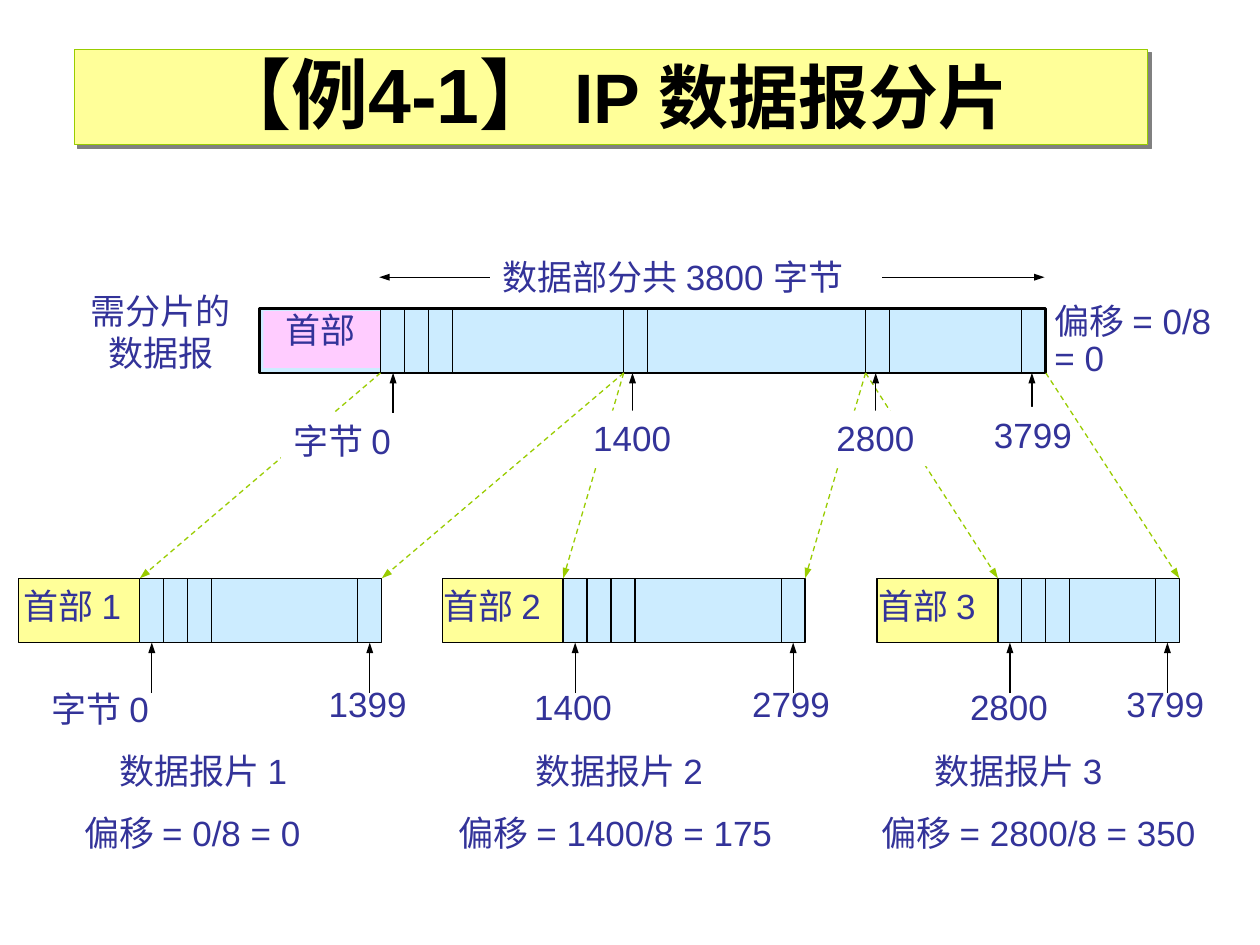
from lxml import etree
from pptx import Presentation
from pptx import util as u
from pptx.dml.color import RGBColor
from pptx.enum import dml, shapes, text
from pptx.oxml.ns import qn

BLACK = RGBColor(0x00, 0x00, 0x00)
WHITE = RGBColor(0xFF, 0xFF, 0xFF)
INDIGO = RGBColor(0x33, 0x33, 0x99)
BLUE = RGBColor(0xCC, 0xEC, 0xFF)
YELLOW = RGBColor(0xFF, 0xFF, 0x99)
PINK = RGBColor(0xFF, 0xCC, 0xFF)
GREEN = RGBColor(0x99, 0xCC, 0x00)

CELL = 0.19
HEADER_WIDTH = 0.96
BAR_HEIGHT = 0.51
BAR_TOP, FRAGMENT_TOP = 2.45, 4.59
BAR_BOTTOM, FRAGMENT_BOTTOM = BAR_TOP + BAR_HEIGHT, FRAGMENT_TOP + BAR_HEIGHT
BAR_LEFT, DATA_LEFT, BAR_RIGHT = 2.06, 3.02, 8.3
CUTS = [DATA_LEFT, 4.95, 6.87, BAR_RIGHT]

# header left, data width, header label left, first byte (text, left, top),
# last byte, caption left, offset (text, left)
FRAGMENTS = [
    (0.15, 1.92, 0.09, ("字节 0", 0.31, 5.41), "1399", 0.85, ("偏移 = 0/8 = 0", 0.57)),
    (3.51, 1.92, 3.42, ("1400", 4.14, 5.39), "2799", 4.15, ("偏移 = 1400/8 = 175", 3.54)),
    (6.96, 1.44, 6.87, ("2800", 7.6, 5.39), "3799", 7.32, ("偏移 = 2800/8 = 350", 6.9)),
]
LABEL_WIDTHS = {"字节 0": 1.11, "偏移 = 0/8 = 0": 2.06}


def add_run(paragraph, words, size=20, color=INDIGO, bold=False):
    run = paragraph.add_run()
    run.text = words
    run.font.size = u.Pt(size)
    run.font.name = "Arial"
    run.font.bold = bold
    run.font.color.rgb = color


def add_effects(shape, shadow=None):
    """Replace inherited effects by none, or by the given (colour, distance, angle)."""
    effects = etree.SubElement(shape._element.spPr, qn("a:effectLst"))
    if shadow:
        color, distance, angle = shadow
        outer = etree.SubElement(effects, qn("a:outerShdw"), dist=str(u.Pt(distance)),
                                 dir=str(angle * 60000), algn="ctr", rotWithShape="0")
        etree.SubElement(outer, qn("a:srgbClr"), val=color)


class Diagram:
    def __init__(self, slide):
        self.slide = slide

    def title(self, left, top, width, height, runs):
        title = self.slide.shapes.title
        title.left, title.top = u.Inches(left), u.Inches(top)
        title.width, title.height = u.Inches(width), u.Inches(height)
        title.fill.solid()
        title.fill.fore_color.rgb = YELLOW
        title.line.color.rgb = GREEN
        title.line.width = u.Pt(0.75)
        add_effects(title, ("808080", 2.8, 45))
        frame = title.text_frame
        frame.auto_size = text.MSO_AUTO_SIZE.NONE
        frame.vertical_anchor = text.MSO_ANCHOR.BOTTOM
        paragraph = frame.paragraphs[0]
        paragraph.alignment = text.PP_ALIGN.CENTER
        for words, size in runs:
            add_run(paragraph, words, size=size, color=BLACK, bold=True)

    def box(self, left, top, width, height, fill, line_width=0.75):
        shape = self.slide.shapes.add_shape(
            shapes.MSO_SHAPE.RECTANGLE, u.Inches(left), u.Inches(top),
            u.Inches(width), u.Inches(height))
        shape.shadow.inherit = False
        shape.fill.solid()
        shape.fill.fore_color.rgb = fill
        if line_width:
            shape.line.color.rgb = BLACK
            shape.line.width = u.Pt(line_width)
        else:
            shape.line.fill.background()

    def label(self, words, left, top, width, height=0.44, fill=None,
              align=text.PP_ALIGN.LEFT, spacing=None):
        """Text on one or more lines; spacing applies to the lines after the first."""
        shape = self.slide.shapes.add_textbox(
            u.Inches(left), u.Inches(top), u.Inches(width), u.Inches(height))
        if fill is not None:
            shape.fill.solid()
            shape.fill.fore_color.rgb = fill
        frame = shape.text_frame
        frame.word_wrap = False
        frame.auto_size = text.MSO_AUTO_SIZE.SHAPE_TO_FIT_TEXT
        for index, line in enumerate(words.split("\n")):
            paragraph = frame.add_paragraph() if index else frame.paragraphs[0]
            paragraph.alignment = align
            if index and spacing:
                paragraph.line_spacing = spacing
            add_run(paragraph, line)

    def line(self, x1, y1, x2, y2, color=BLACK, dashed=False, arrows=()):
        """Straight line; arrows names the ends with a head: headEnd, tailEnd."""
        connector = self.slide.shapes.add_connector(
            shapes.MSO_CONNECTOR.STRAIGHT, u.Inches(x1), u.Inches(y1),
            u.Inches(x2), u.Inches(y2))
        connector.line.color.rgb = color
        connector.line.width = u.Pt(0.75)
        if dashed:
            connector.line.dash_style = dml.MSO_LINE.DASH
        for end in arrows:
            etree.SubElement(connector.line._get_or_add_ln(), qn("a:" + end),
                             type="triangle", w="sm", len="med")
        add_effects(connector)

    def dividers(self, xs, top):
        for x in xs:
            self.line(x, top, x, top + BAR_HEIGHT)

    def pointer(self, x, bottom, top):
        self.line(x, bottom, x, top, arrows=["tailEnd"])

    def fragment(self, number, left, width, header_left, first, last, caption_left, offset):
        data = left + HEADER_WIDTH
        right = data + width
        self.box(data, FRAGMENT_TOP, width, BAR_HEIGHT, BLUE)
        self.dividers([data + CELL * i for i in (1, 2, 3)] + [right - CELL], FRAGMENT_TOP)
        self.box(left, FRAGMENT_TOP, HEADER_WIDTH, BAR_HEIGHT, YELLOW)
        self.label(f"首部 {number}", header_left, FRAGMENT_TOP, 1.11)
        for x in (data + CELL / 2, right - CELL / 2):
            self.pointer(x, 5.5, FRAGMENT_BOTTOM)
        first_text, first_left, first_top = first
        self.label(first_text, first_left, first_top, LABEL_WIDTHS.get(first_text, 0.82))
        self.label(last, right - 0.52, 5.37, 0.82)
        self.label(f"数据报片 {number}", caption_left, 5.9, 1.67)
        offset_text, offset_left = offset
        self.label(offset_text, offset_left, 6.39, LABEL_WIDTHS.get(offset_text, 2.83))
        for start, end in ((CUTS[number - 1], data), (CUTS[number], right)):
            self.line(start, BAR_BOTTOM, end, FRAGMENT_TOP, GREEN, True, ["tailEnd"])

    def datagram(self):
        self.box(BAR_LEFT, BAR_TOP, BAR_RIGHT - BAR_LEFT, BAR_HEIGHT, BLUE, 1.5)
        self.box(2.09, 2.47, 0.93, 0.45, PINK, 0)
        self.label("首部", 2.17, 2.4, 0.8)
        starts = CUTS[:3]
        self.dividers(starts + [x + CELL for x in starts]
                      + [DATA_LEFT + CELL * 2, DATA_LEFT + CELL * 3, BAR_RIGHT - CELL], BAR_TOP)
        self.label("需分片的\n数据报", 0.62, 2.25, 1.31, 0.77, align=text.PP_ALIGN.CENTER)
        self.label("偏移 = 0/8\n= 0", 8.27, 2.33, 1.59, 0.74, spacing=0.9)
        self.line(3.01, 2.2, 8.29, 2.2, arrows=["headEnd", "tailEnd"])
        self.label("数据部分共 3800 字节", 3.89, 1.98, 3.11, fill=WHITE)

    def byte_mark(self, words, x, left, top, width=0.82):
        self.pointer(x, 3.36, BAR_BOTTOM)
        self.label(words, left, top, width, fill=WHITE)


def main():
    presentation = Presentation()
    presentation.slide_width, presentation.slide_height = u.Inches(10), u.Inches(7.5)
    diagram = Diagram(presentation.slides.add_slide(presentation.slide_layouts[5]))
    diagram.title(0.59, 0.39, 8.52, 0.76, [("【例4-1】 ", 44), ("IP 数据报分片", 40)])
    diagram.datagram()
    diagram.byte_mark("3799", 8.19, 7.79, 3.23)
    for number, fragment in enumerate(FRAGMENTS, 1):
        diagram.fragment(number, *fragment)
    diagram.byte_mark("字节 0", 3.12, 2.23, 3.28, 1.11)
    diagram.byte_mark("1400", 5.02, 4.61, 3.26)
    diagram.byte_mark("2800", 6.95, 6.54, 3.26)
    presentation.save("out.pptx")


if __name__ == "__main__":
    main()
